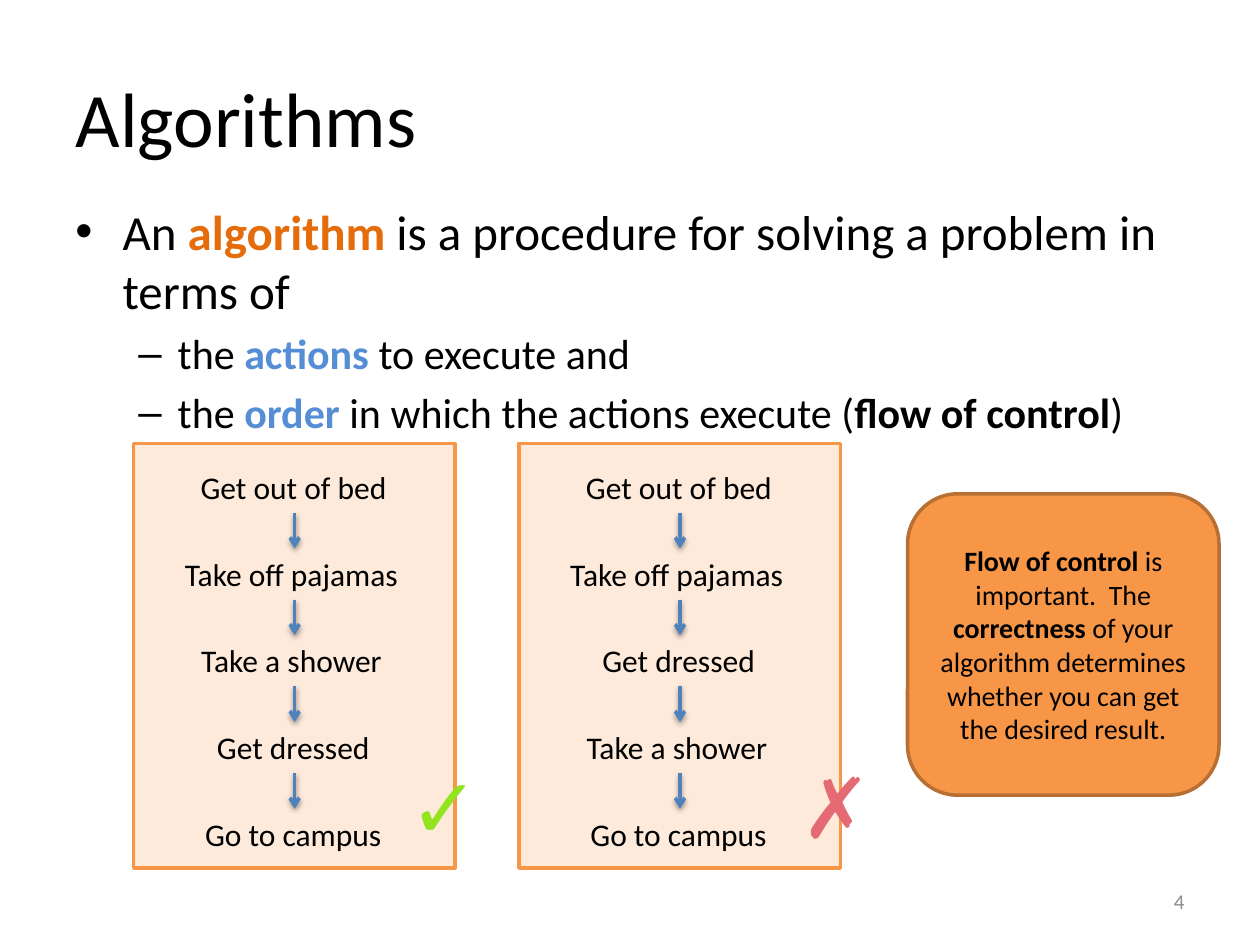
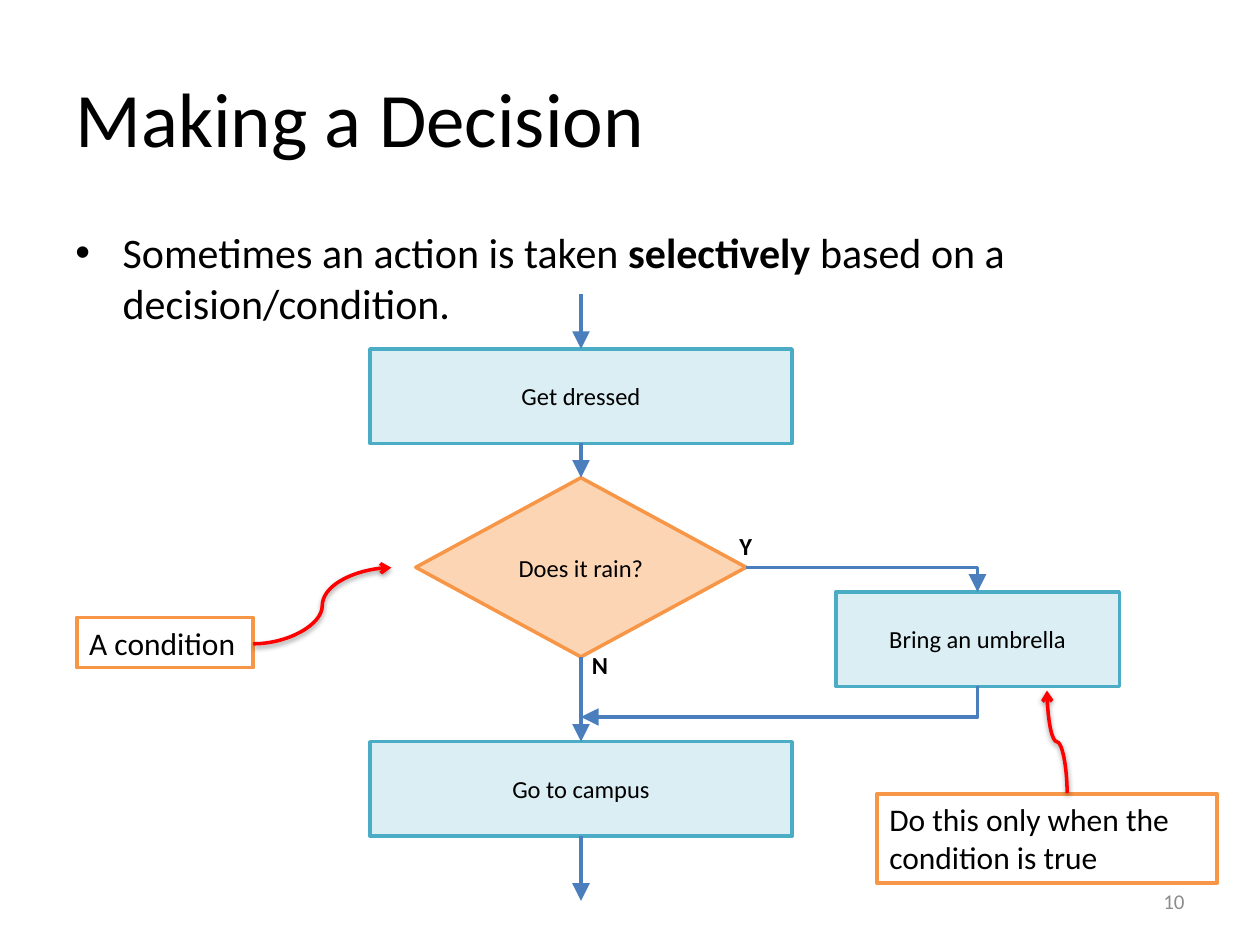
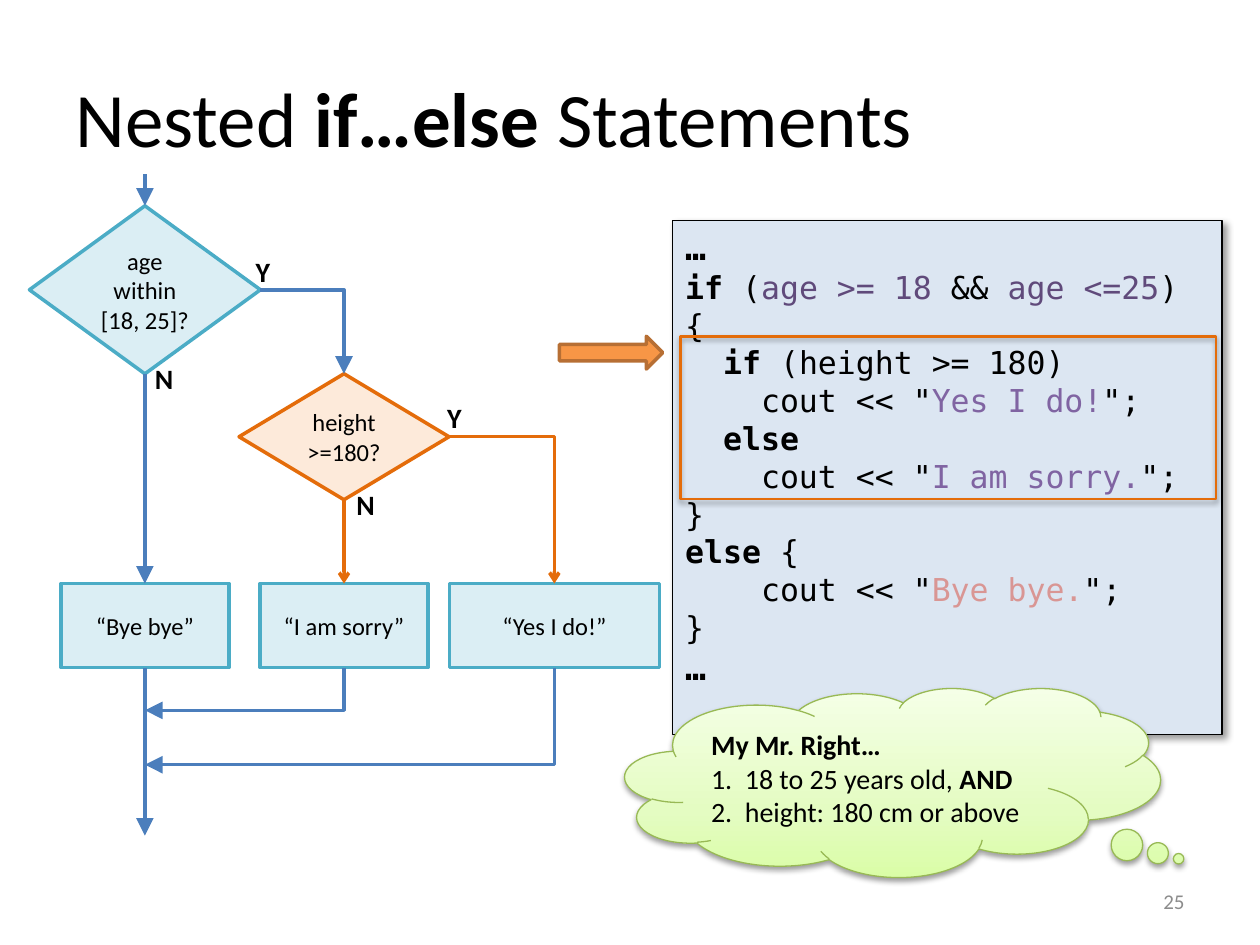
from copy import deepcopy
from typing import NamedTuple

from lxml.etree import SubElement
from pptx import Presentation
from pptx.dml.color import RGBColor
from pptx.enum.shapes import MSO_CONNECTOR, MSO_SHAPE
from pptx.enum.text import MSO_ANCHOR, MSO_AUTO_SIZE, PP_ALIGN
from pptx.oxml.ns import qn
from pptx.util import Pt

# Shared look
BODY_FONT, CODE_FONT, SYMBOL_FONT = "Calibri", "DejaVu Sans Mono", "Arial"
BLACK, WHITE, GRAY = "000000", "FFFFFF", "8C8C8C"
ORANGE, DEEP_ORANGE, DARK_ORANGE = "F79646", "E46C0A", "B76F34"
PALE_ORANGE, PEACH = "FDEADA", "FCD5B5"
TEAL, PALE_TEAL, PALE_BLUE = "4BACC6", "DBEEF4", "DCE6F2"
FLOW_BLUE, STEP_BLUE, KEYWORD_BLUE = "4B7EBC", "4F81BD", "558ED5"
RED, PURPLE, DARK_PURPLE, ROSE = "FF0000", "8064A2", "604A7B", "D99694"
# Shadow: opacity in percent, blur, distance, direction in degrees
SOFT_SHADOW = (38, 3.1, 1.6, 90)
FRAME_SHADOW = (35, 3.1, 1.8, 90)
PANEL_SHADOW = (40, 4, 3, 45)
# Size of each kind of arrowhead
HEAD_SIZES = {"triangle": "lg", "arrow": "med"}

# Width of each step label
STEP_WIDTHS = {"Get out of bed": 121.7, "Take off pajamas": 139.7,
               "Take a shower": 121, "Get dressed": 103, "Go to campus": 116.6}


class Span(NamedTuple):
    text: str
    bold: bool = False
    color: str = BLACK


def strong(text, color=BLACK):
    return Span(text, True, color)


def rgb(value):
    return RGBColor.from_string(value)


# Text
def add_runs(paragraph, spans, size, font=BODY_FONT):
    for span in spans:
        if isinstance(span, str):
            span = Span(span)
        run = paragraph.add_run()
        run.text = span.text
        run.font.name = font
        run.font.size = Pt(size)
        run.font.bold = span.bold
        run.font.color.rgb = rgb(span.color)


def write(shape, paragraphs, size, align=PP_ALIGN.LEFT, anchor=MSO_ANCHOR.TOP,
          font=BODY_FONT, wrap=True, grow=False):
    frame = shape.text_frame
    frame.word_wrap = wrap
    frame.auto_size = (MSO_AUTO_SIZE.SHAPE_TO_FIT_TEXT if grow
                       else MSO_AUTO_SIZE.NONE)
    frame.vertical_anchor = anchor
    for index, spans in enumerate(paragraphs):
        paragraph = frame.add_paragraph() if index else frame.paragraphs[0]
        paragraph.alignment = align
        add_runs(paragraph, spans, size, font)


def add_text(slide, box, spans, size, **options):
    shape = slide.shapes.add_textbox(*map(Pt, box))
    write(shape, [spans], size, **options)


def add_label(slide, box, span, size, font=BODY_FONT):
    add_text(slide, box, [span], size, font=font, wrap=False, grow=True)


def add_bullets(slide, top, items):
    """Each item is (level, size, spans)."""
    shape = slide.shapes.add_textbox(Pt(36), Pt(top), Pt(648), Pt(482.4 - top))
    frame = shape.text_frame
    frame.word_wrap = True
    for index, (level, size, spans) in enumerate(items):
        paragraph = frame.add_paragraph() if index else frame.paragraphs[0]
        paragraph.level = level
        paragraph.space_before = Pt(size * 0.2)
        margin, hanging, mark = [(27, 27, "•"), (58.5, 22.5, "–")][level]
        properties = paragraph._p.get_or_add_pPr()
        properties.set("marL", str(Pt(margin)))
        properties.set("indent", str(-Pt(hanging)))
        SubElement(properties, qn("a:buFont")).set("typeface", "Arial")
        SubElement(properties, qn("a:buChar")).set("char", mark)
        add_runs(paragraph, spans, size)


# Shapes and lines
def set_effects(shape, shadow):
    """Call after fill and line; without a shadow the list stays empty."""
    effects = SubElement(shape.element.spPr, qn("a:effectLst"))
    if shadow:
        opacity, blur, distance, direction = shadow
        outer = SubElement(effects, qn("a:outerShdw"), blurRad=str(Pt(blur)),
                           dist=str(Pt(distance)), dir=str(direction * 60000),
                           rotWithShape="0")
        color = SubElement(outer, qn("a:srgbClr"), val=BLACK)
        SubElement(color, qn("a:alpha"), val=str(opacity * 1000))


def add_box(slide, kind, box, fill, line, width=2, shadow=None):
    shape = slide.shapes.add_shape(kind, *map(Pt, box))
    if fill:
        shape.fill.solid()
        shape.fill.fore_color.rgb = rgb(fill)
    else:
        shape.fill.background()
    shape.line.color.rgb = rgb(line)
    shape.line.width = Pt(width)
    set_effects(shape, shadow)
    return shape


def add_node(slide, kind, box, text, fill=PALE_TEAL, line=TEAL):
    shape = add_box(slide, kind, box, fill, line)
    write(shape, [[text]], 14, PP_ALIGN.CENTER, MSO_ANCHOR.MIDDLE)


def add_note(slide, box, text):
    shape = add_box(slide, MSO_SHAPE.RECTANGLE, box, WHITE, ORANGE)
    write(shape, [[text]], 18, grow=True)


def add_arrow(slide, start, end, color=FLOW_BLUE, head="triangle",
              kind=MSO_CONNECTOR.STRAIGHT, turn=0, shadow=None):
    """A turn of 90 or 270 degrees makes the route leave vertically."""
    if turn:
        middle_x, middle_y = (start[0] + end[0]) / 2, (start[1] + end[1]) / 2
        half_x = abs(end[1] - start[1]) / 2
        half_y = abs(end[0] - start[0]) / 2
        if turn == 270:
            half_y = -half_y
        start = (middle_x - half_x, middle_y - half_y)
        end = (middle_x + half_x, middle_y + half_y)
    connector = slide.shapes.add_connector(kind, *map(Pt, start + end))
    properties = connector.element.spPr
    if turn:
        properties.find(qn("a:xfrm")).set("rot", str(turn * 60000))
    if kind == MSO_CONNECTOR.ELBOW:
        properties.find(qn("a:prstGeom")).set("prst", "bentConnector2")
    connector.line.color.rgb = rgb(color)
    connector.line.width = Pt(2)
    size = HEAD_SIZES[head]
    SubElement(properties.find(qn("a:ln")), qn("a:tailEnd"), type=head,
               w=size, len=size)
    set_effects(connector, shadow)


def add_elbow(slide, start, end, **options):
    add_arrow(slide, start, end, kind=MSO_CONNECTOR.ELBOW, **options)


def add_pointer(slide, start, end, turn=0):
    add_arrow(slide, start, end, RED, "arrow", MSO_CONNECTOR.CURVE, turn,
              SOFT_SHADOW)


def start_slide(presentation, title_spans, number):
    slide = presentation.slides.add_slide(presentation.slide_layouts[5])
    title = slide.shapes.title
    title.left, title.top, title.width, title.height = map(
        Pt, (36, 21.6, 648, 90))
    write(title, [title_spans], 44, anchor=MSO_ANCHOR.MIDDLE)
    add_text(slide, (516.2, 500.4, 167.8, 28.8), [Span(number, color=GRAY)],
             12, align=PP_ALIGN.RIGHT, anchor=MSO_ANCHOR.MIDDLE)
    return slide


# Slide: algorithms
def add_routine(slide, left, steps):
    add_box(slide, MSO_SHAPE.RECTANGLE, (left, 253.4, 183.6, 242.7),
            PALE_ORANGE, ORANGE)
    center, pitch = left + 92, 49.6
    for index, step in enumerate(steps):
        top = 263.8 + index * pitch
        width = STEP_WIDTHS[step]
        add_label(slide, (center - width / 2, top, width, 28.8), step, 18)
        if index:
            add_arrow(slide, (center, top - 20.4), (center, top),
                      STEP_BLUE, "arrow", shadow=SOFT_SHADOW)


def build_algorithms(presentation):
    slide = start_slide(presentation, ["Algorithms"], "4")
    add_bullets(slide, 111.6, [
        (0, 28, ["An ", strong("algorithm", DEEP_ORANGE),
                 " is a procedure for solving a problem in terms of "]),
        (1, 24, ["the ", strong("actions ", KEYWORD_BLUE), "to execute and"]),
        (1, 24, ["the ", strong("order ", KEYWORD_BLUE),
                 "in which the actions execute (",
                 strong("flow of control"), ")"]),
    ])
    add_routine(slide, 76.4, ["Get out of bed", "Take off pajamas",
                              "Take a shower", "Get dressed", "Go to campus"])
    add_label(slide, (226.8, 427.7, 51.1, 65.5), strong("✓", "91E41E"), 48,
              SYMBOL_FONT)
    add_routine(slide, 296.6, ["Get out of bed", "Take off pajamas",
                               "Get dressed", "Take a shower", "Go to campus"])
    add_label(slide, (450.7, 427.7, 43.9, 65.5), strong("✗", "E46B73"), 48,
              SYMBOL_FONT)
    callout = add_box(slide, MSO_SHAPE.ROUNDED_RECTANGLE,
                      (518.6, 282.2, 178, 172.2), ORANGE, DARK_ORANGE)
    write(callout, [[strong("Flow of control "), "is important.  The ",
                     strong("correctness"),
                     " of your algorithm determines whether you can get "
                     "the desired result."]],
          16, PP_ALIGN.CENTER, MSO_ANCHOR.MIDDLE)


# Slide: decision
def build_decision(presentation):
    slide = start_slide(presentation, ["Making a Decision"], "10")
    add_bullets(slide, 126, [
        (0, 24, ["Sometimes an action is taken ", strong("selectively"),
                 " based on a decision/condition."]),
    ])
    center, branch = 332, 558.6
    process, decision = MSO_SHAPE.FLOWCHART_PROCESS, MSO_SHAPE.FLOWCHART_DECISION
    for top, text in [(199.4, "Get dressed"), (423.8, "Go to campus")]:
        add_node(slide, process, (center - 120.6, top, 241.2, 54), text)
    add_node(slide, decision, (center - 94.4, 273, 188.8, 102.4),
             "Does it rain?", PEACH, ORANGE)
    add_node(slide, process, (branch - 81, 338.2, 162, 54),
             "Bring an umbrella")
    for top, bottom in [(167.8, 199.4), (253.4, 273), (375.4, 423.8),
                        (477.8, 514.8)]:
        add_arrow(slide, (center, top), (center, bottom))
    add_elbow(slide, (center + 94.4, 324.4), (branch, 338.2))
    add_elbow(slide, (branch, 392.2), (center, 409.7), turn=90)
    add_label(slide, (415.4, 300.2, 21.6, 24.5), strong("Y"), 14)
    add_label(slide, (331.2, 367.9, 23.8, 24.5), strong("N"), 14)
    # Notes with their pointers
    add_note(slide, (501.1, 453.6, 194.4, 51.1),
             "Do this only when the condition is true")
    add_pointer(slide, (609.8, 453.2), (598.3, 394.6), turn=270)
    add_note(slide, (43.9, 352.8, 100.8, 28.8), "A condition")
    add_pointer(slide, (144.7, 367.9), (223.6, 324.4))


# Slide: nested statements
def add_code(slide):
    panel = add_box(slide, MSO_SHAPE.RECTANGLE, (384.5, 126, 313.9, 293.8),
                    PALE_BLUE, BLACK, 0.75, PANEL_SHADOW)
    write(panel, [
        ["…"],
        [strong("if"), " (", Span("age >= 18 ", color=DARK_PURPLE), "&& ",
         Span("age <=25", color=DARK_PURPLE), ") {"],
        ["  ", strong("if"), " (height >= 180)"],
        ["    cout << \"", Span("Yes I do!", color=PURPLE), "\";"],
        ["  ", strong("else ")],
        ["    cout << \"", Span("I am sorry.", color=PURPLE), "\";"],
        ["} "],
        [strong("else "), "{"],
        ["    cout << \"", Span("Bye bye.", color=ROSE), "\";"],
        ["}"],
        ["…"],
    ], 18, font=CODE_FONT)
    panel.text_frame.margin_top = Pt(3)
    paragraphs = panel.text_frame.paragraphs
    for paragraph in (paragraphs[0], paragraphs[-1]):
        paragraph.runs[0].font.size = Pt(20)
        paragraph.runs[0].font.bold = True


def add_thought(slide):
    cloud = add_box(slide, MSO_SHAPE.CLOUD_CALLOUT, (357.1, 393.1, 306, 108),
                    WHITE, "98B955", 0.75, SOFT_SHADOW)
    cloud.adjustments[0], cloud.adjustments[1] = 0.534, 0.404
    cloud.fill.gradient()
    cloud.fill.gradient_angle = 90
    stop_list = next(cloud.element.spPr.iter(qn("a:gsLst")))
    stop_list.insert(1, deepcopy(stop_list[0]))
    stops = [(0, "DAFDA7"), (0.35, "E4FCC2"), (1, "F5FFE7")]
    for stop, (position, color) in zip(cloud.fill.gradient_stops, stops):
        stop.position = position
        stop.color.rgb = rgb(color)
    write(cloud, [[strong("My Mr. Right…")],
                  ["1.  18 to 25 years old, ", strong("AND")],
                  ["2.  height: 180 cm or above"]],
          16, anchor=MSO_ANCHOR.MIDDLE)


def build_nested(presentation):
    slide = start_slide(presentation, ["Nested ", strong("if…else "),
                                       "Statements"], "25")
    add_code(slide)
    # Flowchart: one column for each outcome
    bye, sorry, yes = 82.8, 196.6, 316.8
    outcome_top, outcome_height = 333.5, 48
    outcome_bottom = outcome_top + outcome_height
    decision = MSO_SHAPE.FLOWCHART_DECISION
    add_node(slide, decision, (bye - 66, 117.6, 132, 96),
             "age within [18, 25]?")
    add_node(slide, decision, (sorry - 60, 213.6, 120, 72), "height >=180?",
             PALE_ORANGE, DEEP_ORANGE)
    for center, width, text in [(bye, 96, "“Bye bye”"),
                                (sorry, 96, "“I am sorry”"),
                                (yes, 120, "“Yes I do!”")]:
        add_node(slide, MSO_SHAPE.RECTANGLE,
                 (center - width / 2, outcome_top, width, outcome_height), text)
    for top, bottom in [(99.6, 117.6), (213.6, outcome_top),
                        (outcome_bottom, 477.5)]:
        add_arrow(slide, (bye, top), (bye, bottom))
    inner = {"color": DEEP_ORANGE, "head": "arrow"}
    add_arrow(slide, (sorry, 285.6), (sorry, outcome_top), **inner)
    add_elbow(slide, (bye + 66, 165.6), (sorry, 213.6))
    add_elbow(slide, (sorry + 60, 249.6), (yes, outcome_top), **inner)
    for center, bottom in [(sorry, 405.9), (yes, 437)]:
        add_elbow(slide, (center, outcome_bottom), (bye, bottom), turn=90)
    for left, top, answer in [(139, 141.8, "Y"), (81.4, 203, "N"),
                              (248.4, 225.4, "Y"), (196.6, 275, "N")]:
        add_label(slide, (left, top, 25, 26.6), strong(answer), 16)
    add_thought(slide)
    # Emphasis on the inner statement
    add_box(slide, MSO_SHAPE.RIGHT_ARROW, (319.7, 192.2, 59, 18.7),
            ORANGE, DARK_ORANGE)
    add_box(slide, MSO_SHAPE.RECTANGLE, (388.8, 192.2, 306, 92.9),
            None, DEEP_ORANGE, 1.5, FRAME_SHADOW)


def main():
    presentation = Presentation()
    presentation.slide_width, presentation.slide_height = Pt(720), Pt(540)
    build_algorithms(presentation)
    build_decision(presentation)
    build_nested(presentation)
    presentation.save("out.pptx")


main()
